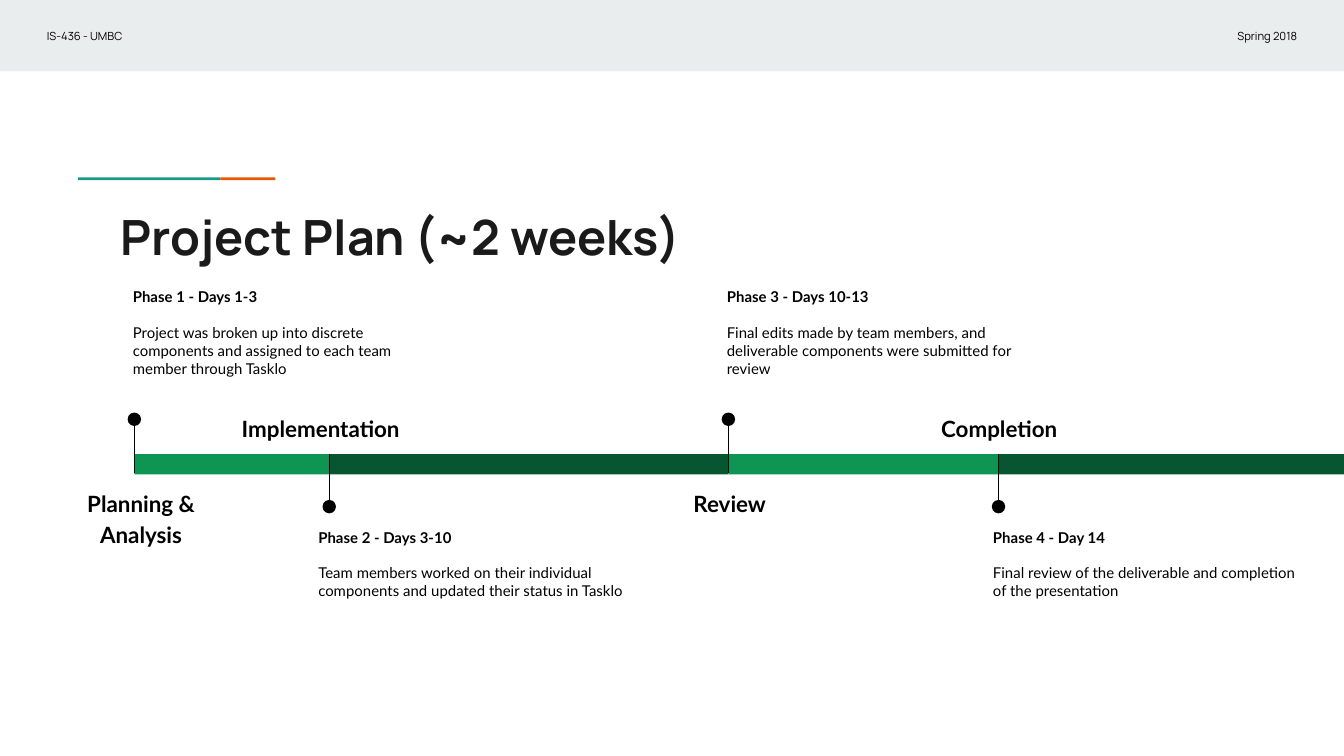
from lxml import etree
from pptx import Presentation
from pptx.dml.color import RGBColor
from pptx.enum.shapes import MSO_CONNECTOR as LINE, MSO_SHAPE as SHAPE
from pptx.enum.text import MSO_ANCHOR as ANCHOR, PP_ALIGN as ALIGN
from pptx.oxml.ns import qn
from pptx.util import Inches, Pt

LIGHT, DARK, BLACK = "0E9453", "085631", "000000"
color = RGBColor.from_string

# Wide 16:9 slide
deck = Presentation()
deck.slide_width = Inches(10)
deck.slide_height = Inches(10) * 9 // 16
slide = deck.slides.add_slide(deck.slide_layouts[6])
shapes = slide.shapes


def text(words, x, y, w, h, size=8, font="Lato", ink=BLACK, bold=False,
         align=ALIGN.LEFT, anchor=ANCHOR.TOP, space=1.0, gap=0):
    """Write one paragraph per string; bold marks the first one only."""
    frame = shapes.add_textbox(Inches(x), Inches(y), Inches(w), Inches(h)).text_frame
    frame.word_wrap = True
    frame.vertical_anchor = anchor
    frame.margin_left = frame.margin_right = Inches(0.1)
    frame.margin_top = frame.margin_bottom = Inches(0.1)
    for i, line in enumerate(words):
        para = frame.paragraphs[0] if i == 0 else frame.add_paragraph()
        para.alignment = align
        para.line_spacing = space
        if i:
            para.space_before = Pt(gap)
        run = para.add_run()
        run.text = line
        run.font.size, run.font.name = Pt(size), font
        run.font.bold = bold and i == 0
        run.font.color.rgb = color(ink)


def block(kind, x, y, w, h, fill):
    """Draw a plain filled shape without outline or shadow."""
    shape = shapes.add_shape(kind, Inches(x), Inches(y), Inches(w), Inches(h))
    shape.shadow.inherit = False
    shape.fill.solid()
    shape.fill.fore_color.rgb = color(fill)
    shape.line.fill.background()


# Header
block(SHAPE.RECTANGLE, 0, 0, 10, 0.53, "E9EDEE")
text(["IS-436 - UMBC"], 0.25, 0.09, 1.09, 0.35, size=6, font="Manrope",
     anchor=ANCHOR.MIDDLE)
text(["Spring 2018"], 8.98, 0.09, 0.77, 0.35, size=6, font="Manrope",
     align=ALIGN.RIGHT, anchor=ANCHOR.MIDDLE)

# Title with two-color rule
block(SHAPE.RECTANGLE, 1.64, 1.32, 0.41, 0.02, "EB5600")
block(SHAPE.RECTANGLE, 0.58, 1.32, 1.06, 0.02, "1A9988")
text(["Project Plan (~2 weeks)"], 0.8, 1.44, 8.41, 0.59, size=26,
     font="Manrope", ink="1A1A1A", bold=True)

# Phases: start, label, label left and width, note left and width, head, body
phases = [
    (1.0, "Planning & Analysis", 0.53, 1.04, 0.89, 2.46, "Phase 1 - Days 1-3",
     "Project was broken up into discrete components and assigned to each team "
     "member through Tasklo"),
    (2.45, "Implementation", 1.7, 2.19, 2.27, 2.57, "Phase 2 - Days 3-10",
     "Team members worked on their individual components and updated their "
     "status in Tasklo"),
    (5.42, "Review", 4.9, 1.06, 5.31, 2.33, "Phase 3 - Days 10-13",
     "Final edits made by team members, and deliverable components were "
     "submitted for review"),
    (7.43, "Completion", 6.75, 1.37, 7.29, 2.46, "Phase 4 - Day 14",
     "Final review of the deliverable and completion of the presentation"),
]
ends = [phase[0] for phase in phases[1:]] + [10]

# Timeline bars
for i, (phase, end) in enumerate(zip(phases, ends)):
    start = phase[0]
    block(SHAPE.RECTANGLE, start, 3.38, end - start, 0.15, DARK if i % 2 else LIGHT)

# Pins, labels and notes swap sides from phase to phase
for i, (x, name, left, wide, note, span, head, body) in enumerate(phases):
    below = i % 2 == 1
    top, foot = (3.38, 3.77) if below else (3.13, 3.52)
    pin = shapes.add_connector(LINE.STRAIGHT, Inches(x), Inches(top),
                               Inches(x), Inches(foot))
    pin.line.color.rgb = color(BLACK)
    pin.line.width = Pt(0.75)
    etree.SubElement(pin._element.spPr, qn("a:effectLst"))
    block(SHAPE.OVAL, x - 0.05, 3.72 if below else 3.07, 0.1, 0.1, BLACK)
    text([name], left, 2.96 if below else 3.52, wide, 0.41, size=12, bold=True,
         align=ALIGN.LEFT if name == "Implementation" else ALIGN.CENTER, space=1.15)
    text([head, body], note, 3.83 if below else 2.04, span, 1.03, bold=True, gap=9.6)

deck.save("out.pptx")
